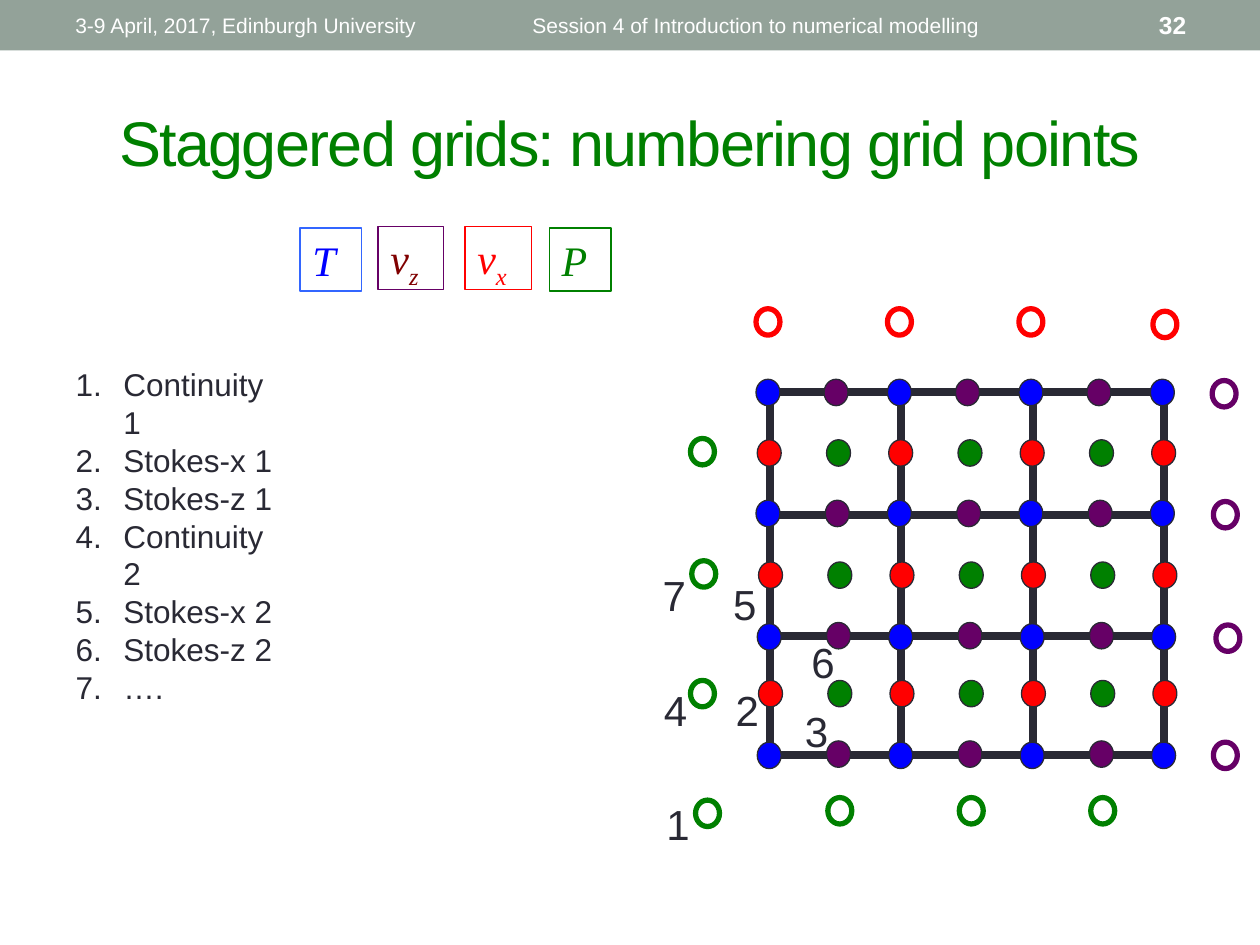
from pptx import Presentation
from pptx.dml.color import RGBColor
from pptx.enum import shapes, text
from pptx.oxml.ns import qn
from pptx.util import Inches, Pt

THEME = {
    "colors": {"band": "93A299", "white": "FFFFFF", "ink": "292934", "blue": "0000FF",
               "red": "FF0000", "purple": "660066", "green": "008000",
               "maroon": "800000", "sky": "3366FF"},
    "fonts": {"sans": "Arial", "math": "Times New Roman"},
    "sizes": {"title": 36, "symbol": 24, "list": 18, "number": 14, "header": 12},
}

TITLE = "Staggered grids: numbering grid points"
# text, left, width, size, alignment, bold
HEADERS = [
    ("3-9 April, 2017, Edinburgh University", 0.5, 3.17, "header", "LEFT", False),
    ("Session 4 of Introduction to numerical modelling", 3.75, 4.5, "header", "CENTER", False),
    ("32", 9.1, 0.53, "number", "LEFT", True),
]
EQUATIONS = ["Continuity 1", "Stokes-x 1", "Stokes-z 1", "Continuity 2",
             "Stokes-x 2", "Stokes-z 2", "…."]
# symbol, subscript, text colour, border colour, left, top, width
VARIABLES = [
    ("T", "", "blue", "sky", 2.38, 1.81, 0.49),
    ("v", "z", "maroon", "purple", 3.0, 1.8, 0.52),
    ("v", "x", "red", "red", 3.69, 1.8, 0.53),
    ("P", "", "green", "green", 4.36, 1.81, 0.49),
]
GRID_LEFT, GRID_RIGHT, CELLS = 6.11, 9.24, 3
PITCH = (GRID_RIGHT - GRID_LEFT) / CELLS
GRID_ROWS = [3.11, 4.09, 5.05, 5.99]
NODE_WIDTH, NODE_HEIGHT = 0.19, 0.21
# colour, nodes per row, (left of first node, top) of each row
INNER_NODES = [
    ("blue", 4, [(6.0, 3.01), (6.0, 3.97), (6.01, 4.95), (6.01, 5.89)]),
    ("red", 4, [(6.01, 3.49), (6.02, 4.46), (6.02, 5.4)]),
    ("purple", 3, [(6.54, 3.01), (6.55, 3.97), (6.56, 4.94), (6.56, 5.88)]),
    ("green", 3, [(6.56, 3.49), (6.57, 4.46), (6.57, 5.4)]),
]
GHOST_NODES = [
    ("green", 3, [(6.57, 6.33)]),
    ("green", 1, [(5.48, 3.48), (5.49, 4.45), (5.48, 5.4), (5.52, 6.35)]),
    ("red", 3, [(6.0, 2.45)]),
    ("red", 1, [(9.15, 2.47)]),
    ("purple", 1, [(9.62, 3.02), (9.63, 3.98), (9.65, 4.96), (9.63, 5.89)]),
]
POINT_NUMBERS = {"1": (5.19, 6.29), "2": (5.74, 5.38), "3": (6.29, 5.55), "4": (5.17, 5.38),
                 "5": (5.72, 4.54), "6": (6.34, 5.0), "7": (5.16, 4.47)}


def color(name):
    return RGBColor.from_string(THEME["colors"][name])


def box(*lengths):
    return [Inches(length) for length in lengths]


def add_run(paragraph, words, size, color_name, font="sans", bold=False, italic=False):
    run = paragraph.add_run()
    run.text = words
    run.font.name = THEME["fonts"][font]
    run.font.size = Pt(THEME["sizes"][size])
    run.font.color.rgb = color(color_name)
    run.font.bold, run.font.italic = bold, italic
    return run


def add_figure(slide, kind, place, fill, line, weight=0.75):
    """Add a preset shape; fill or line may be None."""
    shape = slide.shapes.add_shape(kind, *box(*place))
    shape.shadow.inherit = False
    if fill:
        shape.fill.solid()
        shape.fill.fore_color.rgb = color(fill)
    else:
        shape.fill.background()
    if line:
        shape.line.color.rgb = color(line)
        shape.line.width = Pt(weight)
    else:
        shape.line.fill.background()
    return shape


def add_grid_line(slide, *ends):
    line = slide.shapes.add_connector(shapes.MSO_CONNECTOR.STRAIGHT, *box(*ends))
    line.line.color.rgb = color("ink")
    line.line.width = Pt(4.5)
    properties = line._element.spPr
    properties.append(properties.makeelement(qn("a:effectLst"), {}))


def add_nodes(slide, families, ghost=False):
    for name, count, rows in families:
        look = ("white", name, 3) if ghost else (name, "ink", 0.75)
        for left, top in rows:
            for column in range(count):
                place = (left + column * PITCH, top, NODE_WIDTH, NODE_HEIGHT)
                add_figure(slide, shapes.MSO_SHAPE.OVAL, place, *look)


def add_header(slide):
    add_figure(slide, shapes.MSO_SHAPE.RECTANGLE, (0, 0, 10, 0.4), "band", None)
    for words, left, width, size, alignment, bold in HEADERS:
        frame = slide.shapes.add_textbox(*box(left, 0.02, width, 0.36)).text_frame
        frame.word_wrap = True
        frame.vertical_anchor = text.MSO_ANCHOR.MIDDLE
        paragraph = frame.paragraphs[0]
        paragraph.alignment = text.PP_ALIGN[alignment]
        add_run(paragraph, words, size, "white", bold=bold)


def fill_title(title):
    title.left, title.top, title.width, title.height = box(0.5, 0.58, 9, 1.08)
    title.text_frame.vertical_anchor = text.MSO_ANCHOR.MIDDLE
    paragraph = title.text_frame.paragraphs[0]
    paragraph.alignment = text.PP_ALIGN.CENTER
    run = add_run(paragraph, TITLE, "title", "green")
    run.font._element.set("spc", "-100")


def fill_equations(body):
    body.left, body.top, body.width, body.height = box(0.5, 2.85, 1.9, 2.22)
    frame = body.text_frame
    frame.auto_size = text.MSO_AUTO_SIZE.NONE
    for index, equation in enumerate(EQUATIONS):
        paragraph = frame.add_paragraph() if index else frame.paragraphs[0]
        paragraph.space_before = Pt(0)
        paragraph.line_spacing = Pt(21.6)
        add_run(paragraph, equation, "list", "ink")
        properties = paragraph._p.get_or_add_pPr()
        properties.set("marL", str(Inches(0.38)))
        properties.set("indent", str(-Inches(0.38)))
        bullet_font = properties.makeelement(qn("a:buFont"), {"typeface": THEME["fonts"]["sans"]})
        numbering = properties.makeelement(qn("a:buAutoNum"), {"type": "arabicPeriod"})
        properties.extend([bullet_font, numbering])


def add_variables(slide):
    for symbol, subscript, ink, border, left, top, width in VARIABLES:
        shape = add_figure(slide, shapes.MSO_SHAPE.RECTANGLE, (left, top, width, 0.5), None, border)
        frame = shape.text_frame
        frame.word_wrap = False
        frame.vertical_anchor = text.MSO_ANCHOR.TOP
        paragraph = frame.paragraphs[0]
        paragraph.alignment = text.PP_ALIGN.LEFT
        add_run(paragraph, symbol, "symbol", ink, "math", italic=True)
        if subscript:
            run = add_run(paragraph, subscript, "symbol", ink, "math", italic=True)
            run.font._element.set("baseline", "-25000")


def add_point_numbers(slide):
    for number, (left, top) in POINT_NUMBERS.items():
        frame = slide.shapes.add_textbox(*box(left, top, 0.39, 0.5)).text_frame
        frame.word_wrap = False
        add_run(frame.paragraphs[0], number, "symbol", "ink")


def main():
    presentation = Presentation()
    presentation.slide_width, presentation.slide_height = box(10, 7.5)
    slide = presentation.slides.add_slide(presentation.slide_layouts[1])
    add_header(slide)
    fill_title(slide.shapes.title)
    fill_equations(slide.placeholders[1])
    for column in range(CELLS + 1):
        x = GRID_LEFT + column * PITCH
        add_grid_line(slide, x, GRID_ROWS[0], x, GRID_ROWS[-1])
    for y in GRID_ROWS:
        add_grid_line(slide, GRID_LEFT, y, GRID_RIGHT, y)
    add_nodes(slide, INNER_NODES)
    add_variables(slide)
    add_nodes(slide, GHOST_NODES, ghost=True)
    add_point_numbers(slide)
    presentation.save("out.pptx")


if __name__ == "__main__":
    main()
